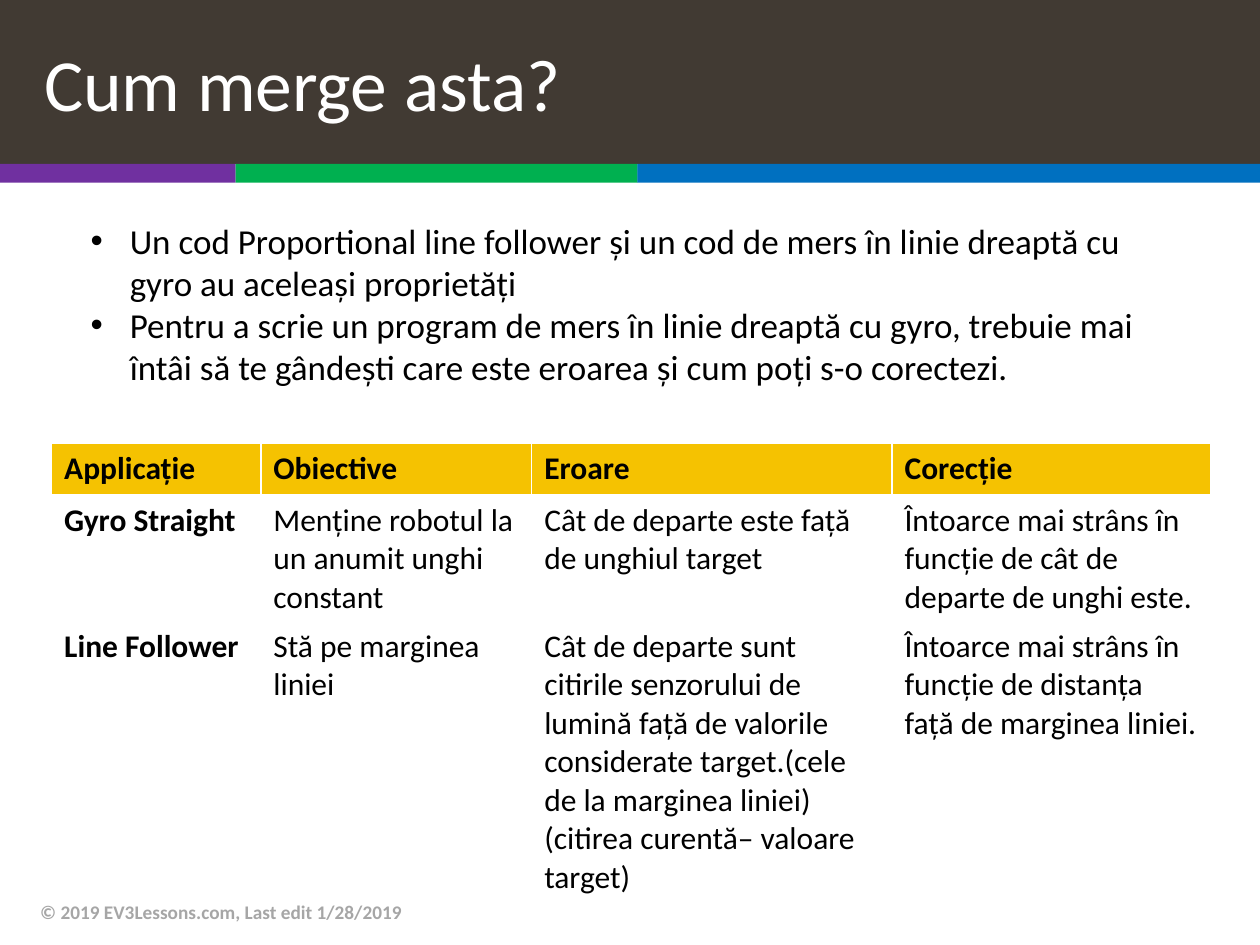
from pptx import Presentation
from pptx.dml.color import RGBColor
from pptx.enum.shapes import MSO_SHAPE
from pptx.enum.text import MSO_ANCHOR, MSO_AUTO_SIZE, PP_ALIGN
from pptx.oxml.ns import qn
from pptx.util import Inches, Pt
from lxml.etree import SubElement

FONT = "Calibri"
BLACK = RGBColor(0x00, 0x00, 0x00)
WHITE = RGBColor(0xFF, 0xFF, 0xFF)
GRAY = RGBColor(0xA6, 0xA6, 0xA6)
BROWN = RGBColor(0x41, 0x3A, 0x33)
GOLD = RGBColor(0xF5, 0xC2, 0x01)
PURPLE = RGBColor(0x70, 0x30, 0xA0)
GREEN = RGBColor(0x00, 0xB0, 0x50)
BLUE = RGBColor(0x00, 0x70, 0xC0)

TITLE = "Cum merge asta?"
BULLETS = [
    "Un cod Proportional line follower și un cod de mers în linie dreaptă cu "
    "gyro au aceleași proprietăți",
    "Pentru a scrie un program de mers în linie dreaptă cu gyro, trebuie mai "
    "întâi să te gândești care este eroarea și cum poți s-o corectezi.",
]
ROWS = [
    ["Applicație", "Obiective", "Eroare", "Corecție"],
    ["Gyro Straight",
     "Menține robotul la un anumit unghi constant",
     "Cât de departe este față de unghiul target",
     "Întoarce mai strâns în funcție de cât de departe de unghi este."],
    ["Line Follower",
     "Stă pe marginea liniei",
     "Cât de departe sunt citirile senzorului de lumină față de valorile "
     "considerate target.(cele de la marginea liniei) "
     "(citirea curentă– valoare target)",
     "Întoarce mai strâns în funcție de distanța față de marginea liniei."],
]
COL_WIDTHS = [1.66, 2.15, 2.86, 2.53]
ROW_HEIGHT = 0.41
FOOTER = "© 2019 EV3Lessons.com, Last edit 1/28/2019"
STRIPES = [(PURPLE, 1.87), (GREEN, 3.19), (BLUE, 4.94)]


def write(tf, *texts, size, color=BLACK, bold=False, anchor=MSO_ANCHOR.TOP,
          indent=0, bullet=None):
    tf.word_wrap = True
    tf.vertical_anchor = anchor
    for i, text in enumerate(texts):
        p = tf.paragraphs[0] if i == 0 else tf.add_paragraph()
        p.alignment = PP_ALIGN.LEFT
        p.space_before = Pt(0)
        pPr = p._p.get_or_add_pPr()
        pPr.set("marL", str(Inches(indent)))
        pPr.set("indent", str(Inches(-indent if bullet else 0)))
        if bullet:
            SubElement(pPr, qn("a:buFont"), typeface="Arial")
            SubElement(pPr, qn("a:buChar"), char=bullet)
        r = p.add_run()
        r.text = text
        r.font.name, r.font.size, r.font.bold = FONT, Pt(size), bold
        r.font.color.rgb = color


def place(sp, left, top, width, height):
    sp.left, sp.top = Inches(left), Inches(top)
    sp.width, sp.height = Inches(width), Inches(height)


prs = Presentation()
prs.slide_width, prs.slide_height = Inches(10), Inches(7.5)
s = prs.slides.add_slide(prs.slide_layouts[1])

title, body = s.placeholders
place(title, 0, 0, 10, 1.3)
title.fill.solid()
title.fill.fore_color.rgb = BROWN
write(title.text_frame, TITLE, size=42, color=WHITE,
      anchor=MSO_ANCHOR.MIDDLE, indent=0.25)

place(body, 0.62, 1.69, 8.69, 1.45)
body.text_frame.auto_size = MSO_AUTO_SIZE.NONE
write(body.text_frame, *BULLETS, size=20, indent=0.31, bullet="•")

left = 0
for color, width in STRIPES:
    stripe = s.shapes.add_shape(MSO_SHAPE.RECTANGLE, Inches(left), Inches(1.3),
                                Inches(width), Inches(0.15))
    stripe.shadow.inherit = False
    stripe.fill.solid()
    stripe.fill.fore_color.rgb = color
    stripe.line.fill.background()
    left += width

footer = s.shapes.add_textbox(Inches(0.22), Inches(7.04), Inches(6.7), Inches(0.4))
write(footer.text_frame, FOOTER, size=11, color=GRAY, bold=True,
      anchor=MSO_ANCHOR.MIDDLE)

table = s.shapes.add_table(len(ROWS), len(COL_WIDTHS), Inches(0.41), Inches(3.52),
                           Inches(sum(COL_WIDTHS)),
                           Inches(ROW_HEIGHT * len(ROWS))).table
for column, width in zip(table.columns, COL_WIDTHS):
    column.width = Inches(width)
for i, row in enumerate(ROWS):
    for j, text in enumerate(row):
        cell = table.cell(i, j)
        if i == 0:
            cell.fill.solid()
            cell.fill.fore_color.rgb = GOLD
        else:
            cell.fill.background()
        write(cell.text_frame, text, size=18, bold=i == 0 or j == 0)

prs.save("out.pptx")
